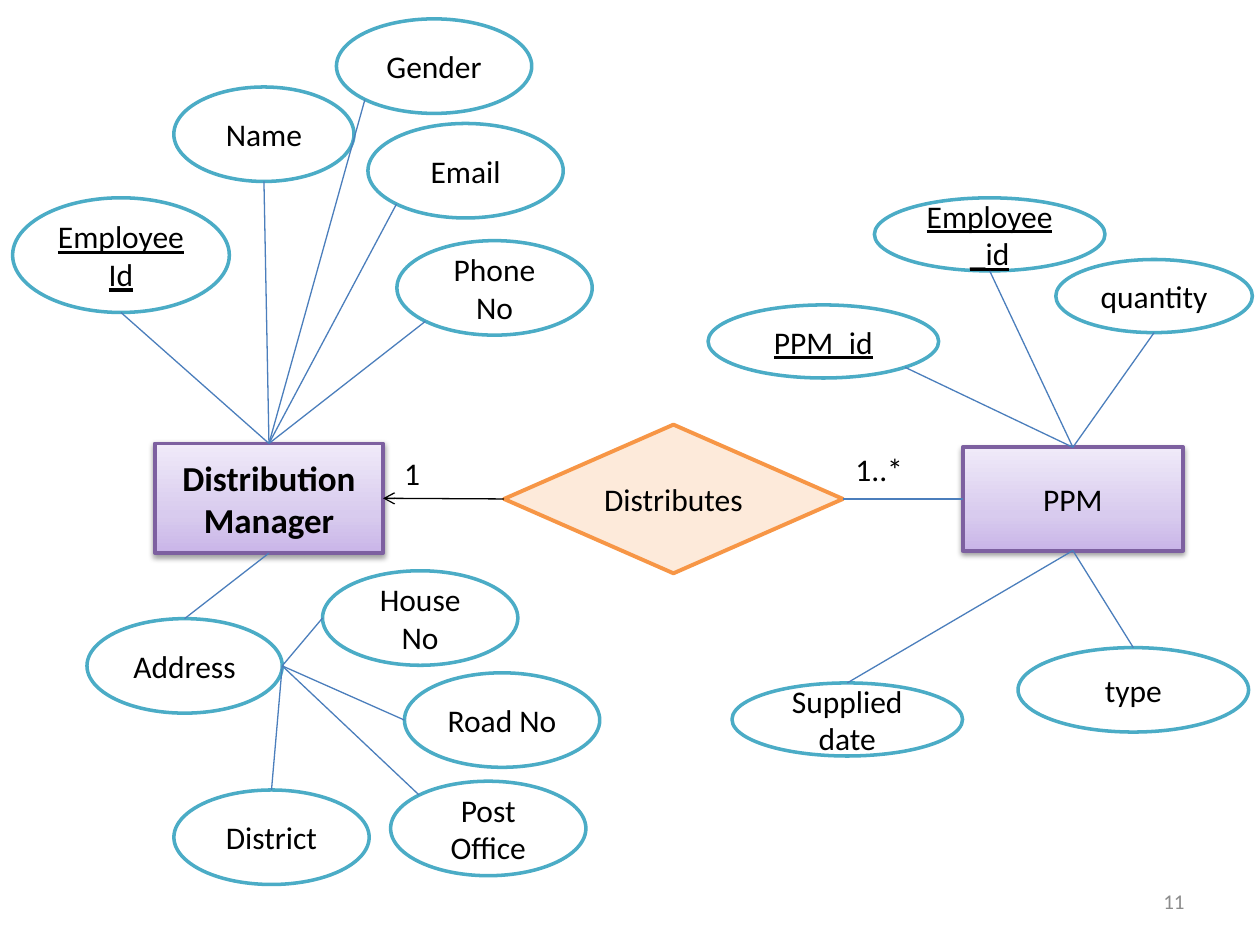
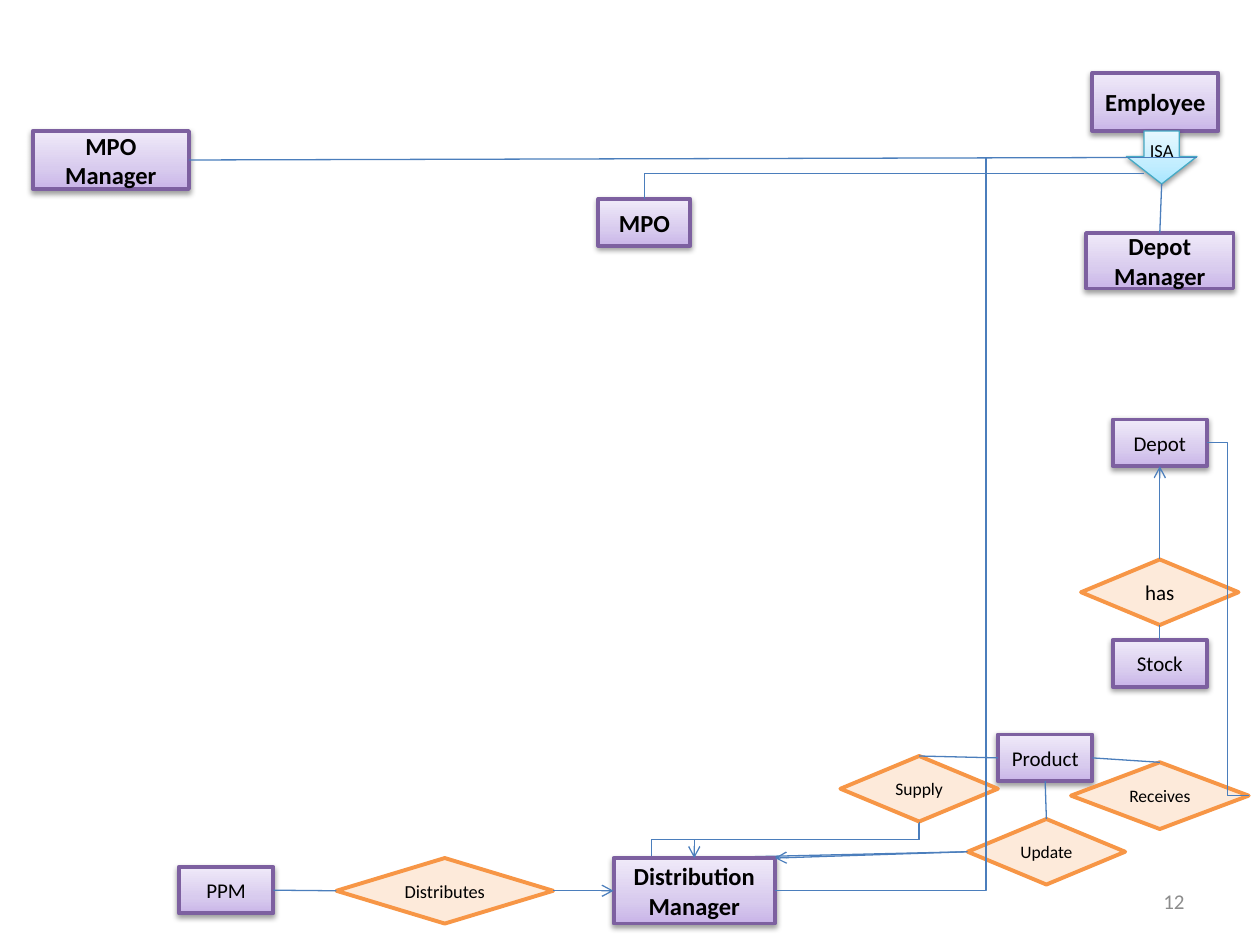
from copy import deepcopy
from dataclasses import dataclass
from math import cos, radians, sin

from pptx import Presentation
from pptx.dml.color import RGBColor
from pptx.enum.shapes import MSO_CONNECTOR as Connector, MSO_SHAPE as Shape
from pptx.enum.text import MSO_ANCHOR as Anchor, PP_ALIGN as Align
from pptx.oxml.ns import qn
from pptx.oxml import parse_xml
from pptx.util import Inches, Pt


@dataclass(frozen=True)
class Theme:
    font: str = "Calibri"
    text: str = "000000"
    muted: str = "8C8C8C"
    link: str = "4B7EBC"
    title: float = 20
    large: float = 18
    heading: float = 14
    medium: float = 12
    small: float = 10.5
    tiny: float = 10
    hairline: float = 0.75


theme = Theme()
NAMESPACE = 'xmlns:a="http://schemas.openxmlformats.org/drawingml/2006/main"'
SHADOW = (f'<a:outerShdw {NAMESPACE} blurRad="40000" dist="20000" dir="5400000" '
          'rotWithShape="0"><a:srgbClr val="000000"><a:alpha val="38000"/>'
          '</a:srgbClr></a:outerShdw>')

# kind: preset, fill colours (three make a gradient), line colour, line width
KINDS = {
    "entity": (Shape.RECTANGLE, ("C9B5E8", "D8CBEE", "F0EAF9"), "7D60A0", 2.25),
    "relation": (Shape.FLOWCHART_DECISION, ("FDEADA",), "F79646", 2.25),
    "attribute": (Shape.OVAL, ("FFFFFF",), "4BACC6", 2),
    "isa": (Shape.DOWN_ARROW, ("A7E6FF", "C1EDFF", "E7F8FF"), "46AAC5", 0.75),
}
# Connection sites as fractions of a shape's width and height
SITES = {"top": (0.5, 0), "bottom": (0.5, 1), "left": (0, 0.5), "right": (1, 0.5),
         "corner": (1, 0), "lower left": (0.146, 0.854),
         "lower right": (0.854, 0.854), "upper left": (0.146, 0.146)}

presentation = Presentation()
presentation.slide_width, presentation.slide_height = Inches(10), Inches(7.5)
blank = presentation.slide_layouts[6]


def add_node(slide, kind, text, box, size, emphasis="", align=Align.CENTER,
             color=theme.text):
    """Add a diagram shape, or a plain text box when the kind is "label"."""
    lengths = [Inches(value) for value in box]
    if kind == "label":
        shape = slide.shapes.add_textbox(*lengths)
    else:
        preset, colors, line_color, width = KINDS[kind]
        shape = slide.shapes.add_shape(preset, *lengths)
        shape.shadow.inherit = False
        shape.line.color.rgb = RGBColor.from_string(line_color)
        shape.line.width = Pt(width)
        if len(colors) == 1:
            shape.fill.solid()
            shape.fill.fore_color.rgb = RGBColor.from_string(colors[0])
        else:
            shape.fill.gradient()
            shape.fill.gradient_angle = 90
            properties = shape._element.spPr
            stops = properties.find(".//" + qn("a:gsLst"))
            stops.append(deepcopy(stops[-1]))
            for stop, position, value in zip(shape.fill.gradient_stops,
                                             (0, 0.35, 1), colors):
                stop.position = position
                stop.color.rgb = RGBColor.from_string(value)
            properties.find(qn("a:effectLst")).append(parse_xml(SHADOW))
    frame = shape.text_frame
    frame.word_wrap = kind != "isa"
    frame.vertical_anchor = Anchor.MIDDLE
    paragraph = frame.paragraphs[0]
    paragraph.alignment = align
    run = paragraph.add_run()
    run.text = text
    run.font.name, run.font.size = theme.font, Pt(size)
    run.font.color.rgb = RGBColor.from_string(color)
    run.font.bold, run.font.underline = emphasis == "bold", emphasis == "underline"
    return shape


def connect(slide, nodes, start, finish, arrow=False, color=theme.link,
            preset=None, turn=0, bends=()):
    """Join two ends, each a (node, site) pair or a point in inches."""
    points = []
    for first, second in (start, finish):
        if isinstance(first, str):
            shape, (across, down) = nodes[first], SITES[second]
            points.append((shape.left + across * shape.width,
                           shape.top + down * shape.height))
        else:
            points.append((Inches(first), Inches(second)))
    # A turned elbow is stored unrotated around its centre
    middle_x, middle_y = [sum(pair) / 2 for pair in zip(*points)]
    cosine, sine = cos(radians(turn)), sin(radians(turn))
    ends = []
    for x, y in points:
        x, y = x - middle_x, y - middle_y
        ends += [round(middle_x + x * cosine + y * sine),
                 round(middle_y - x * sine + y * cosine)]
    connector = slide.shapes.add_connector(
        Connector.ELBOW if preset else Connector.STRAIGHT, *ends)
    connector.line.color.rgb = RGBColor.from_string(color)
    connector.line.width = Pt(theme.hairline)
    properties = connector._element.spPr
    if preset:
        properties.find(qn("a:xfrm")).set("rot", str(turn * 60000))
        geometry = properties.find(qn("a:prstGeom"))
        geometry.set("prst", preset)
        guides = geometry.get_or_add_avLst()
        for number, bend in enumerate(bends, 1):
            name = "adj" if len(bends) == 1 else f"adj{number}"
            guides.append(parse_xml(f'<a:gd {NAMESPACE} name="{name}" '
                                    f'fmla="val {round(bend * 100000)}"/>'))
    if arrow:
        properties.find(qn("a:ln")).append(
            parse_xml(f'<a:tailEnd {NAMESPACE} type="arrow"/>'))
    properties.append(parse_xml(f"<a:effectLst {NAMESPACE}/>"))


# Slides and their numbers
manager_slide, overview_slide = [presentation.slides.add_slide(blank) for _ in range(2)]
for slide, number in ((manager_slide, "11"), (overview_slide, "12")):
    add_node(slide, "label", number, (7.17, 6.95, 2.33, 0.4), theme.medium,
             align=Align.RIGHT, color=theme.muted)

# Slide 1: entities and their relation
MANAGER = "Distribution Manager"
nodes = {
    "Distributes": add_node(manager_slide, "relation", "Distributes",
                            (4, 3.37, 2.69, 1.18), theme.large),
    "PPM": add_node(manager_slide, "entity", "PPM",
                    (7.64, 3.55, 1.75, 0.82), theme.large),
    MANAGER: add_node(manager_slide, "entity", MANAGER,
                      (1.23, 3.52, 1.81, 0.87), theme.title, "bold"),
}
for text, box in (("1..*", (6.69, 3.52, 0.59, 0.4)), ("1", (3.11, 3.55, 0.67, 0.4))):
    add_node(manager_slide, "label", text, box, theme.large, align=Align.LEFT)
connect(manager_slide, nodes, ("Distributes", "right"), ("PPM", "left"))
connect(manager_slide, nodes, ("Distributes", "left"), (MANAGER, "right"),
        arrow=True, color=theme.text)

# Slide 1: attributes, each with its site and the owner it joins
person, part = (1.55, 0.75), (1.83, 0.58)
attributes = [
    ("quantity", 8.38, 2.06, (1.56, 0.58), "bottom", "PPM", "top"),
    ("Employee_id", 6.94, 1.57, part, "bottom", "PPM", "top"),
    ("PPM_id", 5.62, 2.42, part, "lower right", "PPM", "top"),
    ("Supplied date", 5.81, 5.42, part, "top", "PPM", "bottom"),
    ("type", 8.08, 5.14, (1.83, 0.67), "top", "PPM", "bottom"),
    ("Employee Id", 0.1, 1.57, (1.72, 0.91), "bottom", MANAGER, "top"),
    ("Name", 1.38, 0.69, (1.43, 0.75), "bottom", MANAGER, "top"),
    ("Phone No", 3.15, 1.91, person, "lower left", MANAGER, "top"),
    ("Email", 2.92, 0.98, person, "lower left", MANAGER, "top"),
    ("Gender", 2.67, 0.15, person, "lower left", MANAGER, "top"),
    ("Address", 0.69, 4.91, person, "top", MANAGER, "bottom"),
    ("House No", 2.56, 4.53, person, "left", "Address", "right"),
    ("Road No", 3.21, 5.34, person, "left", "Address", "right"),
    ("District", 1.38, 6.27, person, "top", "Address", "right"),
    ("Post Office", 3.1, 6.2, person, "upper left", "Address", "right"),
]
keys = ("Employee_id", "PPM_id", "Employee Id")
for text, left, top, size, site, owner, owner_site in attributes:
    nodes[text] = add_node(manager_slide, "attribute", text, (left, top, *size),
                           theme.large, "underline" if text in keys else "")
    connect(manager_slide, nodes, (text, site), (owner, owner_site))

# Slide 2: links that run behind the manager box
connect(overview_slide, {}, (4.87, 7.07), (7.29, 6.52),
        preset="bentConnector4", turn=180, bends=(0.125, 0.739))
connect(overview_slide, {}, (5.51, 6.81), (7.68, 6.76))

# Slide 2: entities and relations
nodes = {}
role, item, diamond = ("entity", theme.heading, "bold"), (0.75, 0.37), (1.25, 0.52)
thing = ("entity", theme.medium, "")
action = ("relation", theme.tiny, "")
for text, left, top, size, (kind, font_size, emphasis) in [
    ("Employee", 8.67, 0.58, (1, 0.46), role),
    ("ISA", 8.94, 1.04, (0.56, 0.42), ("isa", theme.small, "")),
    ("MPO", 4.75, 1.58, (0.73, 0.37), role),
    ("MPO Manager", 0.26, 1.04, (1.24, 0.46), role),
    ("Depot Manager", 8.62, 1.85, (1.17, 0.44), role),
    ("Update", 7.68, 6.5, diamond, action),
    ("Product", 7.92, 5.83, item, thing),
    ("Supply", 6.67, 6, diamond, action),
    (MANAGER, 4.87, 6.81, (1.28, 0.52), role),
    ("Depot", 8.83, 3.33, item, thing),
    ("Receives", 8.5, 6.05, (1.41, 0.53), action),
    ("Distributes", 2.67, 6.81, (1.72, 0.52), ("relation", theme.small, "")),
    ("PPM", 1.42, 6.88, item, thing),
    ("has", 8.58, 4.44, diamond, ("relation", theme.medium, "")),
    ("Stock", 8.83, 5.08, item, thing),
]:
    nodes[text] = add_node(overview_slide, kind, text, (left, top, *size),
                           font_size, emphasis)
nodes["ISA"].adjustments[1] = 0.519

# Slide 2: straight links
for start, finish, arrow in [
    (("ISA", "left"), ("MPO Manager", "right"), False),
    (("ISA", "bottom"), ("Depot Manager", "top"), False),
    (("Product", "bottom"), ("Update", "top"), False),
    (("Supply", "top"), ("Product", "left"), False),
    (("Receives", "top"), ("Product", "right"), False),
    (("Distributes", "left"), ("PPM", "right"), False),
    (("has", "bottom"), ("Stock", "top"), False),
    (("Update", "left"), (MANAGER, "corner"), True),
    (("Distributes", "right"), (MANAGER, "left"), True),
    (("has", "top"), ("Depot", "bottom"), True),
]:
    connect(overview_slide, nodes, start, finish, arrow)

# Slide 2: elbow links
connect(overview_slide, nodes, ("MPO", "top"), (9.08, 1.38),
        preset="bentConnector2", turn=90)
connect(overview_slide, nodes, ("ISA", "right"), (MANAGER, "right"),
        preset="bentConnector3", bends=(-0.137,))
connect(overview_slide, nodes, ("Depot", "right"), ("Receives", "right"),
        preset="bentConnector3", bends=(0.898,))
connect(overview_slide, nodes, ("Supply", "bottom"), (MANAGER, "top"), arrow=True,
        preset="bentConnector3", turn=90, bends=(0.5,))

presentation.save("out.pptx")
